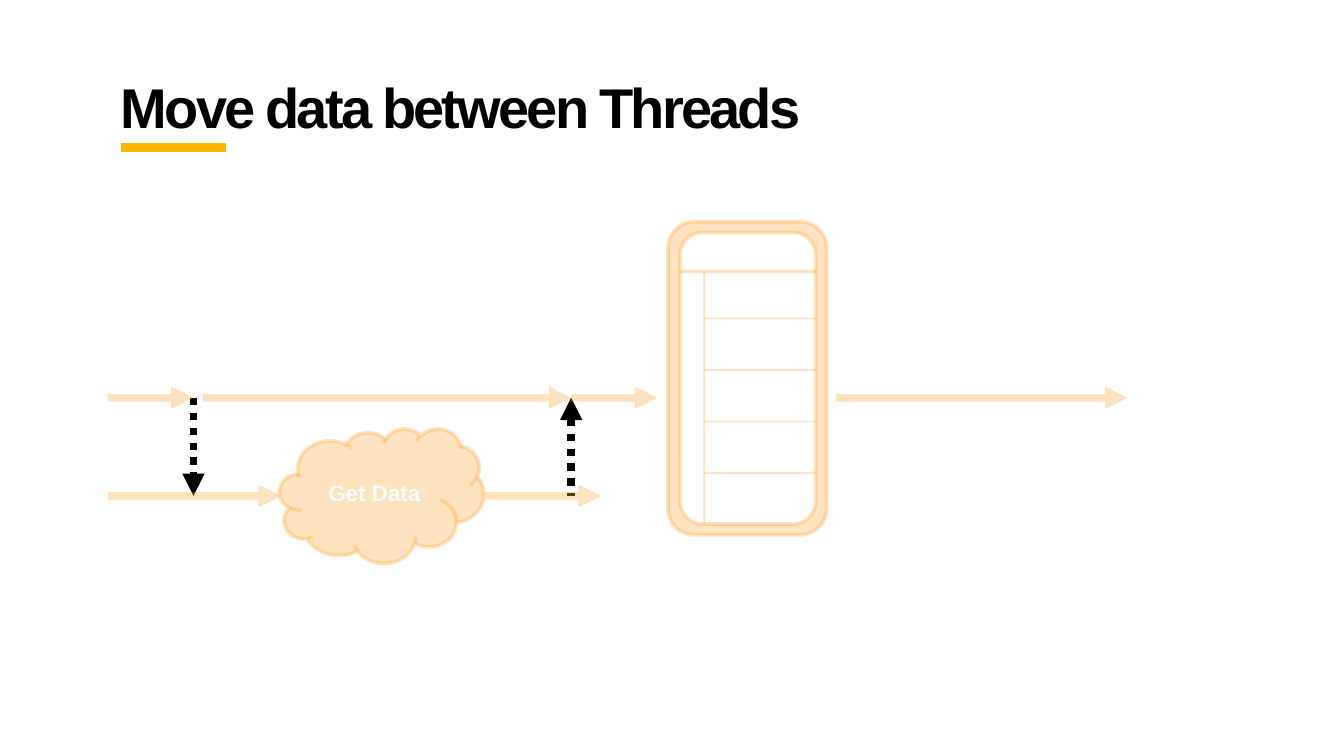
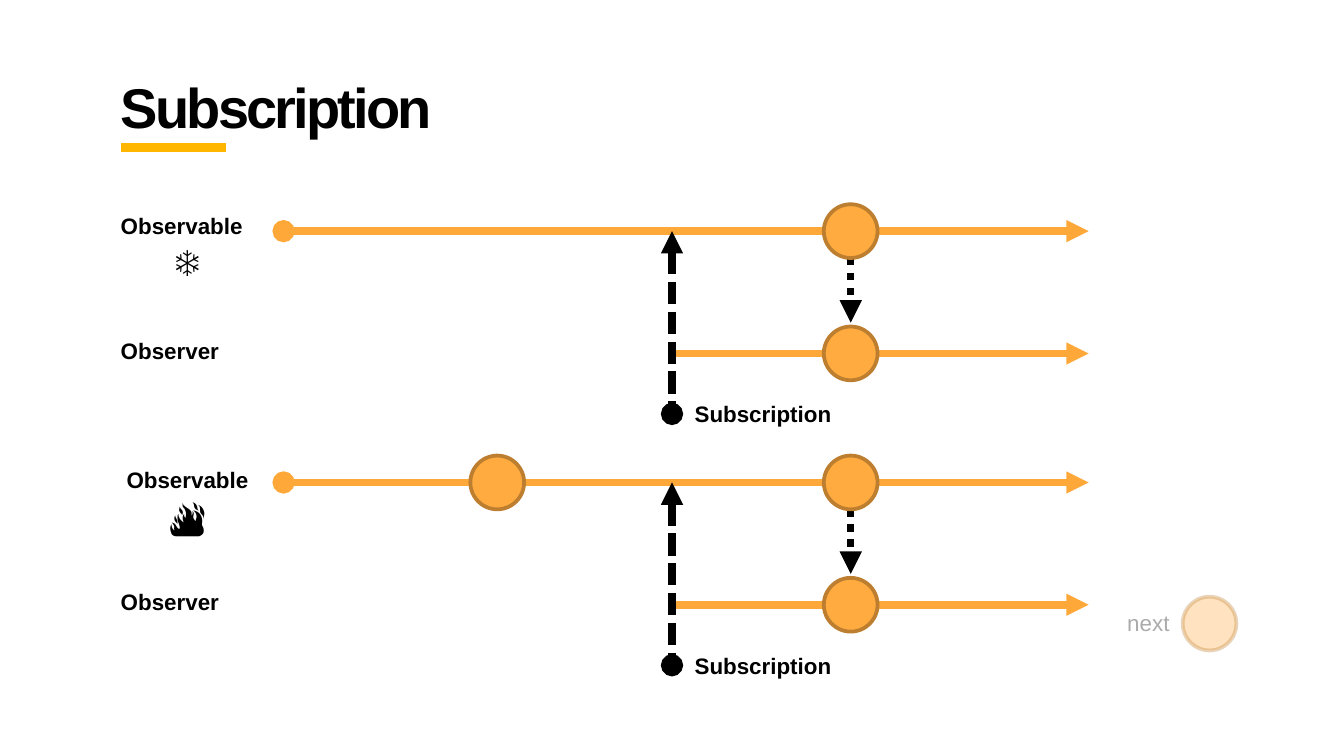
from lxml import etree
from pptx import Presentation
from pptx import util as u
from pptx.dml.color import RGBColor
from pptx.enum import dml, shapes, text
from pptx.oxml.ns import qn

BLACK = RGBColor(0x00, 0x00, 0x00)
WHITE = RGBColor(0xFF, 0xFF, 0xFF)
YELLOW = RGBColor(0xFF, 0xB6, 0x00)
ORANGE = RGBColor(0xFE, 0xA8, 0x3A)
AMBER = RGBColor(0xFF, 0xAB, 0x40)
BROWN = RGBColor(0xBD, 0x7F, 0x2F)
DOTS, DASHES = dml.MSO_LINE.ROUND_DOT, dml.MSO_LINE.SQUARE_DOT
KIND = shapes.MSO_SHAPE
LEFT, CENTER, RIGHT = text.PP_ALIGN.LEFT, text.PP_ALIGN.CENTER, text.PP_ALIGN.RIGHT
LABEL = {"name": "Arial", "size": u.Pt(12), "bold": True}
ICON = {"name": "Arial", "size": u.Pt(20), "bold": False}

deck = Presentation()
deck.slide_width, deck.slide_height = u.Inches(10), u.Inches(5.625)
CELL = deck.slide_width // 100  # square grid, 100 columns wide


def add_line(parent, start, end, color, width=4, dash=None, head=None, tail=None):
    """Draw a line between two (column, row) points; head is the end at start."""
    ends = [int(n * CELL) for n in (*start, *end)]
    line = parent.add_connector(shapes.MSO_CONNECTOR.STRAIGHT, *ends)
    line.line.color.rgb = color
    line.line.width = u.Pt(width)
    if dash:
        line.line.dash_style = dash
    properties = line.element.spPr
    for tag, kind in (("a:headEnd", head), ("a:tailEnd", tail)):
        if kind:
            etree.SubElement(properties.find(qn("a:ln")), qn(tag), type=kind)
    etree.SubElement(properties, qn("a:effectLst"))
    return line


def add_figure(parent, kind, box, fill, outline):
    """Draw a filled shape; box is left, top, width and height in cells."""
    figure = parent.add_shape(kind, *[int(n * CELL) for n in box])
    figure.shadow.inherit = False
    figure.fill.solid()
    figure.fill.fore_color.rgb = fill
    figure.line.color.rgb = outline
    figure.line.width = u.Pt(2)
    return figure


# Title and underline of both slides
pages = []
for heading in ("Move data between Threads", "Subscription"):
    page = deck.slides.add_slide(deck.slide_layouts[5])
    title = page.shapes.title
    for name, cells in {"left": 8, "top": 4, "width": 83.5, "height": 6.3}.items():
        setattr(title, name, int(cells * CELL))
    frame = title.text_frame
    frame.text = heading
    for name, value in {"margin_left": CELL, "margin_right": CELL,
                        "margin_top": int(1.4 * CELL), "margin_bottom": CELL,
                        "word_wrap": True, "auto_size": text.MSO_AUTO_SIZE.NONE,
                        "vertical_anchor": text.MSO_ANCHOR.TOP}.items():
        setattr(frame, name, value)
    para = frame.paragraphs[0]
    para.alignment = LEFT
    span = para.runs[0]
    for name, value in {"name": "Arial", "size": u.Pt(30), "bold": True}.items():
        setattr(span.font, name, value)
    span.font.color.rgb = BLACK
    span.font._element.set("spc", "-150")
    add_line(page.shapes, (9, 11), (16.8, 11), YELLOW, 5)
    pages.append(page)
threads, subscription = [page.shapes for page in pages]
faded = []

# Slide 1: two threads, hand-overs between them, and a phone
MAIN, WORKER = 29.6, 36.9
LEAVE, RETURN = 14.4, 42.5
add_line(threads, (RETURN, MAIN), (RETURN, WORKER), BLACK, dash=DOTS, head="triangle")
add_line(threads, (LEAVE, MAIN), (LEAVE, WORKER), BLACK, dash=DOTS, tail="triangle")

phone = threads.add_group_shape().shapes
for box, fill in (((49.7, 16.5, 11.8, 23.3), AMBER), ((50.6, 17.3, 10.1, 21.7), WHITE)):
    faded.append(add_figure(phone, KIND.ROUNDED_RECTANGLE, box, fill, ORANGE))
faded.append(add_line(phone, (50.6, 20.2), (60.7, 20.2), ORANGE, 2))
faded.append(add_line(phone, (52.4, 20.2), (52.4, 39), ORANGE, 1))
for item in range(4):
    row = 23.7 + 3.83 * item
    faded.append(add_line(phone, (52.4, row), (60.7, row), ORANGE, 1))

cloud = add_figure(threads, KIND.CLOUD, (20.8, 31.9, 15.2, 10), AMBER, ORANGE)
para = cloud.text_frame.paragraphs[0]
para.text = "Get Data"
para.alignment = CENTER
for name, value in LABEL.items():
    setattr(para.font, name, value)
para.font.color.rgb = WHITE
faded.append(cloud)

for row, first, last in ((MAIN, 62.2, 83.9), (MAIN, 15.1, RETURN), (WORKER, 8, 20.9),
                         (WORKER, 36.1, 44.7), (MAIN, 8, LEAVE), (MAIN, RETURN, 48.9)):
    faded.append(add_line(threads, (first, row), (last, row), ORANGE, tail="triangle"))

# Slide 2: a cold and a hot observable, each with an observer
SOURCE, SUBSCRIBE, EVENT, END = 21.1, 50, 63.3, 81
DIAMETER, GAP = 4, 9.1
COLD, HOT = 17.2, 35.9
for row in (COLD, HOT):
    observer = row + GAP
    add_line(subscription, (SOURCE, row), (END, row), ORANGE, head="oval", tail="triangle")
    add_line(subscription, (SUBSCRIBE, observer), (END, observer), ORANGE, tail="triangle")
    add_line(subscription, (SUBSCRIBE, row), (SUBSCRIBE, row + 13.6), BLACK,
             dash=DASHES, head="triangle", tail="oval")
    add_line(subscription, (EVENT, row + 2), (EVENT, row + 6.8), BLACK,
             dash=DOTS, tail="triangle")

LEGEND = (90, 46.4)
for column, row in ((EVENT, COLD), (EVENT, COLD + GAP), (EVENT, HOT),
                    (EVENT, HOT + GAP), (37, HOT), LEGEND):
    box = (column - DIAMETER / 2, row - DIAMETER / 2, DIAMETER, DIAMETER)
    event = add_figure(subscription, KIND.OVAL, box, AMBER, BROWN)
    if (column, row) == LEGEND:
        faded.append(event)

# Each label: box, then paragraphs of an alignment and formatted runs
labels = [
    ((8, 15.3, 11.9, 6.4), [(LEFT, [("Observable", LABEL)]),
                            (CENTER, [("❄️", {**ICON, "name": "Calibri"})])]),
    ((8, 34.2, 11.9, 6.4), [(CENTER, [("Observable", LABEL), ("🔥", ICON)])]),
    ((8, 24.6, 11.9, 3), [(LEFT, [("Observer", LABEL)])]),
    ((8, 43.3, 11.9, 3), [(LEFT, [("Observer", LABEL)])]),
    ((50.7, 29.3, 14, 3), [(LEFT, [("Subscription", LABEL)])]),
    ((50.7, 48, 13.3, 3), [(LEFT, [("Subscription", LABEL)])]),
    ((82.5, 44.8, 5.5, 3), [(RIGHT, [("next", {**LABEL, "bold": False})])]),
]
for place, paragraphs in labels:
    box = subscription.add_textbox(*[int(n * CELL) for n in place])
    frame = box.text_frame
    frame.word_wrap = True
    frame.auto_size = text.MSO_AUTO_SIZE.SHAPE_TO_FIT_TEXT
    for index, (alignment, runs) in enumerate(paragraphs):
        para = frame.add_paragraph() if index else frame.paragraphs[0]
        para.alignment = alignment
        for words, looks in runs:
            span = para.add_run()
            span.text = words
            for name, value in looks.items():
                setattr(span.font, name, value)
            span.font.color.rgb = BLACK
faded.append(box)  # the last label is the legend

# One third opacity for everything pale; white stays solid
for item in faded:
    for color in item.element.iter(qn("a:srgbClr")):
        if color.get("val") != str(WHITE):
            etree.SubElement(color, qn("a:alpha"), val="33000")

deck.save("out.pptx")
